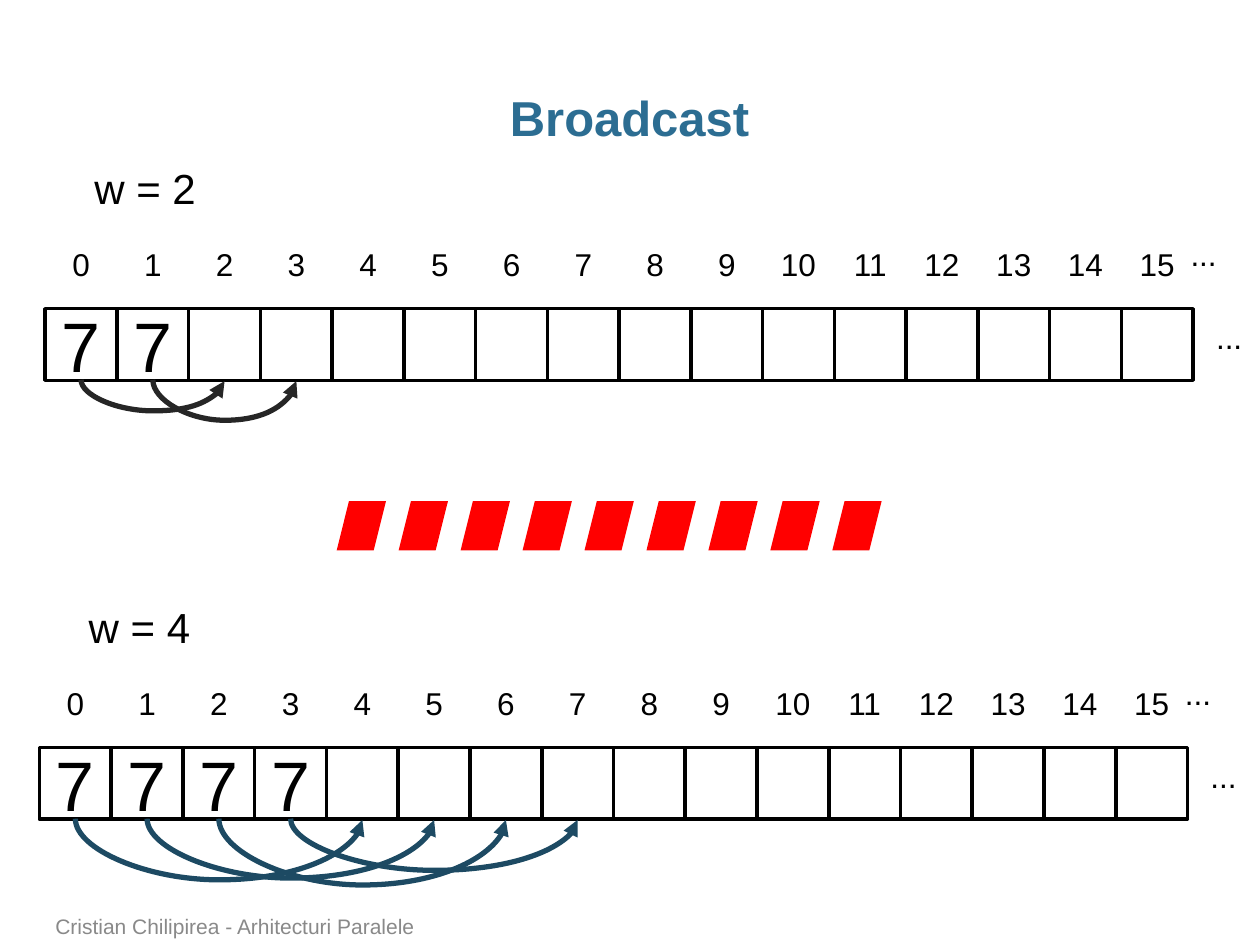
"""Build the Broadcast slide: two lane arrays with copy arrows between lanes."""
from lxml.etree import SubElement
from pptx import Presentation
from pptx.dml.color import RGBColor
from pptx.enum.shapes import MSO_CONNECTOR, MSO_SHAPE
from pptx.enum.text import MSO_ANCHOR, PP_ALIGN
from pptx.oxml.ns import qn
from pptx.util import Pt

BLACK = RGBColor(0, 0, 0)
RED = RGBColor(0xFF, 0, 0)
TITLE_BLUE = RGBColor(0x2C, 0x6D, 0x92)
GREY = RGBColor(0x89, 0x89, 0x89)
CHARCOAL = RGBColor(0x26, 0x26, 0x26)
NAVY = RGBColor(0x1D, 0x4A, 0x63)

TITLE = "Broadcast"
FOOTER = "Cristian Chilipirea - Arhitecturi Paralele"
VALUE = "7"
ROWS = [
    {"label": "w = 2", "left": 25.8, "top": 176.4, "color": CHARCOAL,
     "depths": [18, 23.5]},
    {"label": "w = 4", "left": 22.6, "top": 427.2, "color": NAVY,
     "depths": [35.5, 34.5, 38.5, 30]},
]
LANES = 16
CELL = 41
DASHES = 9
DASH_LEFT, DASH_TOP, DASH_SIZE, DASH_PITCH = 192.4, 286.3, 28.2, 35.4
ARROW_DROP = 0.72


def write(shape, text, size, color, align=PP_ALIGN.LEFT, bold=False):
    para = shape.text_frame.paragraphs[0]
    para.alignment = align
    span = para.add_run()
    span.text = text
    span.font.name = "Arial"
    span.font.size = Pt(size)
    span.font.bold = bold
    span.font.color.rgb = color
    return para


def add_text(page, text, left, top, width, height, size, color=BLACK,
             align=PP_ALIGN.LEFT, bold=False, wrap=False):
    box = page.shapes.add_textbox(Pt(left), Pt(top), Pt(width), Pt(height))
    box.text_frame.word_wrap = wrap
    write(box, text, size, color, align, bold)
    return box


def add_cell(page, left, top, text):
    cell = page.shapes.add_shape(MSO_SHAPE.RECTANGLE, Pt(left), Pt(top), Pt(CELL), Pt(CELL))
    cell.shadow.inherit = False
    cell.fill.background()
    cell.line.color.rgb = BLACK
    cell.line.width = Pt(2)
    if text:
        cell.text_frame.vertical_anchor = MSO_ANCHOR.MIDDLE
        write(cell, text, 40, BLACK, PP_ALIGN.CENTER)


def add_arrow(page, start, end, y, depth, color):
    center, half = (start + end) / 2, (end - start) / 2
    arrow = page.shapes.add_connector(
        MSO_CONNECTOR.CURVE,
        Pt(center + ARROW_DROP / 2), Pt(y - half),
        Pt(center - ARROW_DROP / 2), Pt(y + half))
    arrow.line.color.rgb = color
    arrow.line.width = Pt(3)
    properties = arrow._element.spPr
    properties.find(qn("a:xfrm")).set("rot", "16200000")
    adjustments = properties.find(qn("a:prstGeom")).get_or_add_avLst()
    bend = round(depth / ARROW_DROP * 100000)
    SubElement(adjustments, qn("a:gd"), name="adj1", fmla=f"val {bend}")
    SubElement(properties.find(qn("a:ln")), qn("a:tailEnd"), type="triangle")
    SubElement(properties, qn("a:effectLst"))


def add_row(page, row):
    left, top, depths = row["left"], row["top"], row["depths"]
    width = len(depths)
    add_text(page, row["label"], left + 21, top - 87, 73.4, 36, 24)
    for lane in range(LANES):
        cell_left = left + lane * CELL
        add_cell(page, cell_left, top, VALUE if lane < width else "")
        label_width = 14.4 + 10 * len(str(lane))
        add_text(page, str(lane), cell_left + (CELL - label_width) / 2, top - 40,
                 label_width, 29, 18, align=PP_ALIGN.CENTER)
    for right, down in ((647.4, -45.4), (662, 1.6)):
        add_text(page, "...", left + right, top + down, 29.5, 29, 18)
    for lane, depth in enumerate(depths):
        start = left + (lane + 0.5) * CELL
        add_arrow(page, start, start + width * CELL, top + CELL, depth, row["color"])


def add_dashes(page):
    for index in range(DASHES):
        dash = page.shapes.add_shape(
            MSO_SHAPE.PARALLELOGRAM, Pt(DASH_LEFT + index * DASH_PITCH),
            Pt(DASH_TOP), Pt(DASH_SIZE), Pt(DASH_SIZE))
        dash.shadow.inherit = False
        dash.fill.solid()
        dash.fill.fore_color.rgb = RED
        dash.line.fill.background()


def main():
    deck = Presentation()
    deck.slide_width, deck.slide_height = Pt(720), Pt(540)
    page = deck.slides.add_slide(deck.slide_layouts[6])
    title = add_text(page, TITLE, 24.5, 49, 670.5, 36, 28, TITLE_BLUE,
                     PP_ALIGN.CENTER, bold=True, wrap=True)
    title.text_frame.margin_left = title.text_frame.margin_right = 0
    title.text_frame.paragraphs[0].line_spacing = 0.95
    for row in ROWS:
        add_row(page, row)
    add_dashes(page)
    footer = add_text(page, FOOTER, 24.5, 520, 530.5, 20, 12, GREY, wrap=True)
    footer.text_frame.vertical_anchor = MSO_ANCHOR.BOTTOM
    deck.save("out.pptx")


if __name__ == "__main__":
    main()
